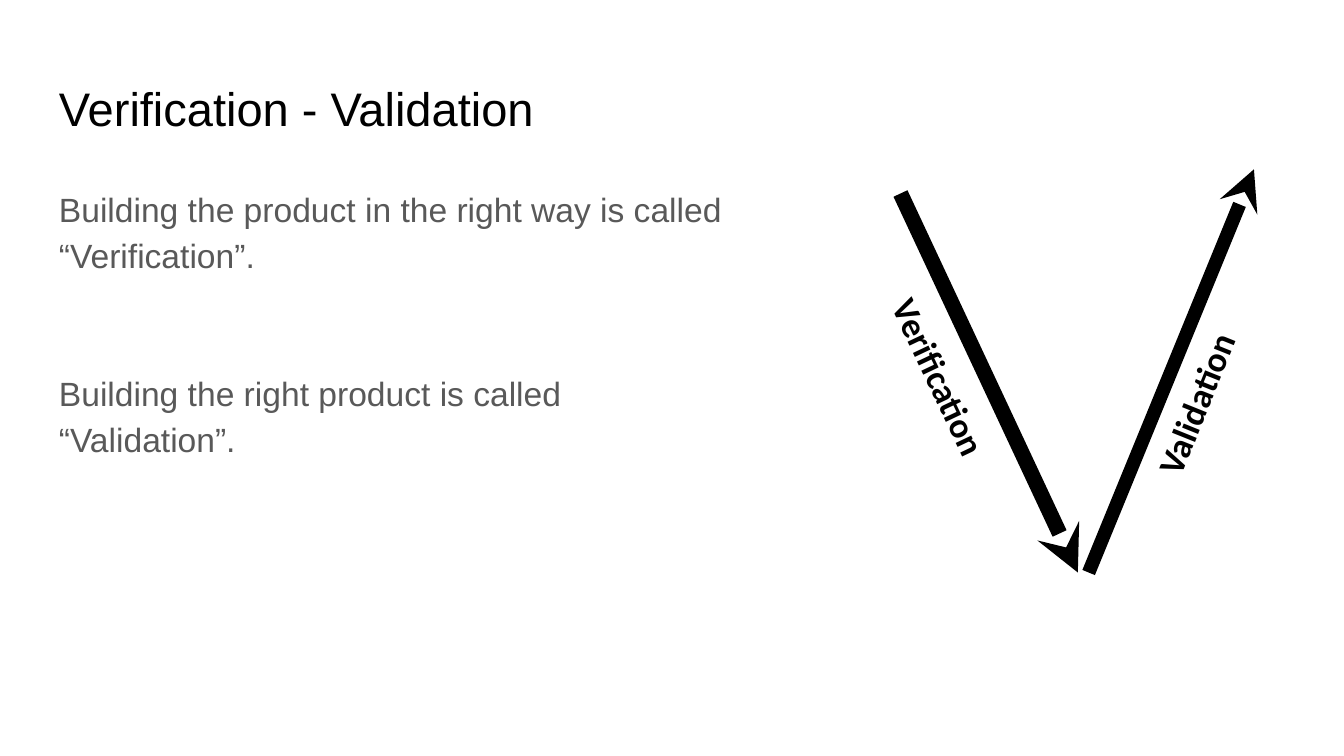
from lxml.etree import SubElement
from pptx import Presentation
from pptx.dml.color import RGBColor
from pptx.enum.shapes import MSO_CONNECTOR
from pptx.enum.text import MSO_ANCHOR, PP_ALIGN
from pptx.oxml.ns import qn
from pptx.util import Pt

EMU_PER_PX = 4572
COLORS = {"background": "FFFFFF", "ink": "000000", "body": "595959"}


def px(length):
    return length * EMU_PER_PX


def color(name):
    return RGBColor.from_string(COLORS[name])


def add_text(slide, box, paragraphs, *, size, font="Arial", ink="ink", bold=False,
             align=PP_ALIGN.LEFT, anchor=MSO_ANCHOR.TOP, inset=20,
             line_spacing=1.0, gap=0, rotation=0):
    shape = slide.shapes.add_textbox(*map(px, box))
    shape.rotation = rotation
    frame = shape.text_frame
    frame.word_wrap = True
    frame.vertical_anchor = anchor
    frame.margin_left = frame.margin_right = px(20)
    frame.margin_top = frame.margin_bottom = px(inset)
    for index, text in enumerate(paragraphs):
        paragraph = frame.add_paragraph() if index else frame.paragraphs[0]
        paragraph.alignment = align
        paragraph.line_spacing = line_spacing
        paragraph.space_before = Pt(gap if index else 0)
        run = paragraph.add_run()
        run.text = text
        run.font.size = Pt(size)
        run.font.name = font
        run.font.bold = bold
        run.font.color.rgb = color(ink)
    return shape


def add_arrow(slide, start, end, width):
    arrow = slide.shapes.add_connector(
        MSO_CONNECTOR.STRAIGHT, *map(px, (*start, *end)))
    arrow.line.color.rgb = color("ink")
    arrow.line.width = Pt(width)
    SubElement(arrow.line._get_or_add_ln(), qn("a:tailEnd"), type="stealth")
    SubElement(arrow._element.spPr, qn("a:effectLst"))


def add_title(slide, box):
    add_text(slide, box, ["Verification - Validation"], size=25.2,
             anchor=MSO_ANCHOR.MIDDLE)


def add_definitions(slide, box):
    add_text(slide, box, [
        "Building the product in the right way is called “Verification”.",
        "Building the right product is called “Validation”.",
    ], size=18, ink="body", line_spacing=1.15, gap=49)


def add_v_model(slide, box):
    left, top, width, height = box
    bottom = top + height
    add_arrow(slide, (left, top + 36), (left + 264, bottom), 8.25)
    add_arrow(slide, (left + 280, bottom), (left + width, top), 7.25)
    labels = [
        ("Verification", -156, 267, 428, 64.7),
        ("Validation", 248, 307, 382, 291.9),
    ]
    for text, x, y, label_width, rotation in labels:
        add_text(slide, (left + x, top + y, label_width, 84), [text],
                 size=19, font="Calibri", bold=True, align=PP_ALIGN.CENTER,
                 inset=10, rotation=rotation)


def main():
    presentation = Presentation()
    presentation.slide_width = px(2000)
    presentation.slide_height = px(1125)
    slide = presentation.slides.add_slide(presentation.slide_layouts[6])
    slide.background.fill.solid()
    slide.background.fill.fore_color.rgb = color("background")
    add_title(slide, (68, 97, 1864, 126))
    add_definitions(slide, (68, 252, 1042, 748))
    add_v_model(slide, (1340, 252, 526, 600))
    presentation.save("out.pptx")


if __name__ == "__main__":
    main()
